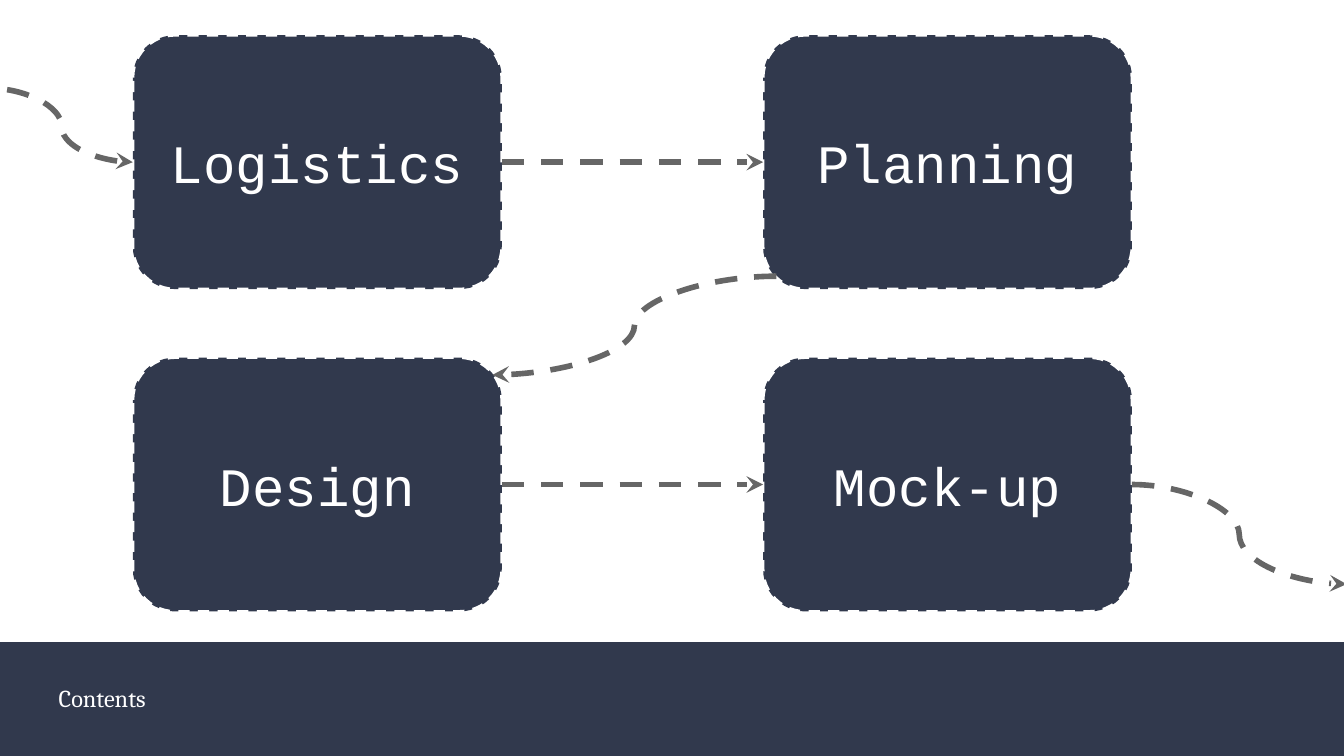
from lxml import etree
from pptx import Presentation
from pptx import util as u
from pptx.dml.color import RGBColor
from pptx.enum import dml, shapes, text
from pptx.oxml.ns import qn

HUES = {"navy": "31394D", "white": "FFFFFF", "gray": "666666"}
LABELS = [["Logistics", "Planning"], ["Design", "Mock-up"]]
LEFT, TOP, WIDE, HIGH = 71.2, 18.9, 197.6, 136
STEP_X, STEP_Y = 337.6, 172.7
INSET = 7.2


class Deck:
    """Hold the style and the current slide, and draw each kind of element."""

    def __init__(self, wide, high):
        self.prs = Presentation()
        self.prs.slide_width, self.prs.slide_height = u.Pt(wide), u.Pt(high)
        self.slide = self.prs.slides.add_slide(self.prs.slide_layouts[6])
        self.frame = {
            "word_wrap": True,
            "vertical_anchor": text.MSO_ANCHOR.MIDDLE,
            **{f"margin_{side}": u.Pt(INSET) for side in ("left", "top", "right", "bottom")},
        }

    def hue(self, name):
        return RGBColor.from_string(HUES[name])

    def apply(self, item, style):
        for key, value in style.items():
            setattr(item, key, value)

    def stroke(self, line, hue, width):
        line.color.rgb = self.hue(hue)
        self.apply(line, {"width": u.Pt(width), "dash_style": dml.MSO_LINE.DASH})

    def label(self, shape, words, font, size, align):
        self.apply(shape.text_frame, self.frame)
        para = shape.text_frame.paragraphs[0]
        para.alignment = align
        run = para.add_run()
        run.text = words
        self.apply(run.font, {"name": font, "size": u.Pt(size)})
        run.font.color.rgb = self.hue("white")

    def solid(self, kind, *box):
        shape = self.slide.shapes.add_shape(kind, *map(u.Pt, box))
        shape.shadow.inherit = False
        shape.fill.solid()
        shape.fill.fore_color.rgb = self.hue("navy")
        shape.line.fill.background()
        return shape

    def bar(self, *box):
        self.solid(shapes.MSO_SHAPE.RECTANGLE, *box)

    def title(self, words, *box):
        shape = self.slide.shapes.add_textbox(*map(u.Pt, box))
        self.label(shape, words, "Cambria", 13, text.PP_ALIGN.LEFT)

    def card(self, words, *box):
        shape = self.solid(shapes.MSO_SHAPE.ROUNDED_RECTANGLE, *box)
        self.stroke(shape.line, "white", 1.5)
        self.label(shape, words, "Courier New", 29, text.PP_ALIGN.CENTER)
        return shape

    def arrow(self, start, end, tip="tailEnd"):
        link = self.slide.shapes.add_connector(
            shapes.MSO_CONNECTOR.CURVE, *map(u.Pt, (*start, *end)))
        self.stroke(link.line, "gray", 3)
        line = link._element.spPr.find(qn("a:ln"))
        etree.SubElement(line, qn(f"a:{tip}"), type="stealth")
        etree.SubElement(link._element.spPr, qn("a:effectLst"))
        return link


def main():
    deck = Deck(720, 405)
    deck.bar(0, 344, 720, 61)
    deck.title("Contents", 24.4, 355.7, 628.6, 36)
    cards = [[deck.card(words, LEFT + col * STEP_X, TOP + row * STEP_Y, WIDE, HIGH)
              for col, words in enumerate(names)] for row, names in enumerate(LABELS)]
    near, far = LEFT + WIDE, LEFT + STEP_X
    mids = [TOP + HIGH / 2 + row * STEP_Y for row in range(len(LABELS))]
    for mid, (first, second) in zip(mids, cards):
        link = deck.arrow((near, mid), (far, mid))
        link.begin_connect(first, 3)
        link.end_connect(second, 1)
    deck.arrow((416, 148), (263.8, 200.9))
    leave = deck.arrow((far + WIDE, mids[1]), (721.4, 313))
    leave.begin_connect(cards[1][1], 3)
    enter = deck.arrow((LEFT, mids[0]), (-5.4, 47.3), "headEnd")
    enter.begin_connect(cards[0][0], 1)
    deck.prs.save("out.pptx")


if __name__ == "__main__":
    main()
